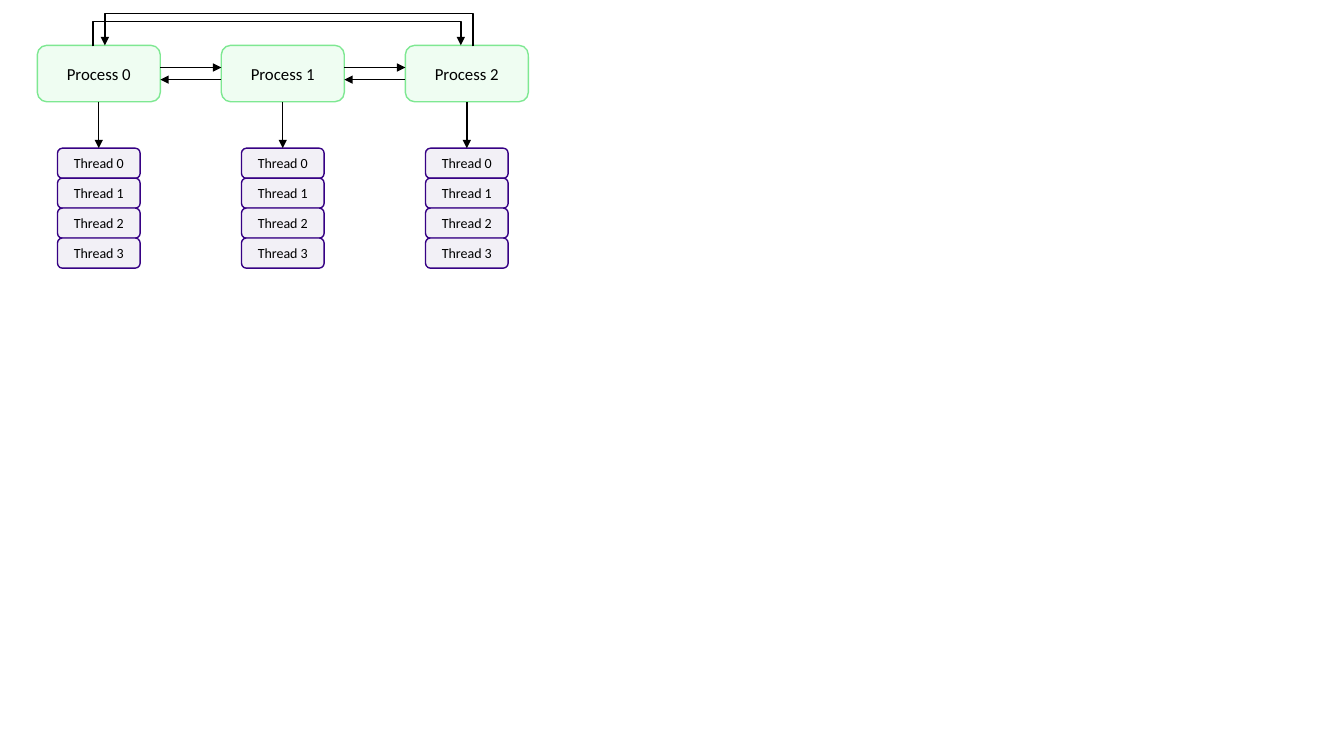
from lxml import etree
from pptx import Presentation
from pptx.dml.color import RGBColor
from pptx.enum.shapes import MSO_CONNECTOR as CONN, MSO_SHAPE as SHAPE
from pptx.enum.text import MSO_ANCHOR as ANCHOR, PP_ALIGN as ALIGN
from pptx.oxml.ns import qn
from pptx.util import Inches, Pt

COLORS = {
    "process": "EFFDF2",
    "process_line": "7EE892",
    "thread": "F2F0F6",
    "thread_line": "360184",
    "black": "000000",
}


class Diagram:
    font = "Calibri"
    line_width = Pt(1)

    def __init__(self, slide):
        self.slide = slide

    def color(self, name):
        return RGBColor.from_string(COLORS[name])

    def box(self, text, kind, size, x, y, w, h):
        sp = self.slide.shapes.add_shape(
            SHAPE.ROUNDED_RECTANGLE, Inches(x), Inches(y), Inches(w), Inches(h))
        sp.shadow.inherit = False
        sp.fill.solid()
        sp.fill.fore_color.rgb = self.color(kind)
        sp.line.color.rgb = self.color(kind + "_line")
        sp.line.width = self.line_width
        tf = sp.text_frame
        tf.text = text
        tf.vertical_anchor = ANCHOR.MIDDLE
        p = tf.paragraphs[0]
        p.alignment = ALIGN.CENTER
        r = p.runs[0]
        r.font.name = self.font
        r.font.size = Pt(size)
        r.font.color.rgb = self.color("black")
        return sp

    def arrow(self, x1, y1, x2, y2, kind=CONN.STRAIGHT):
        c = self.slide.shapes.add_connector(
            kind, Inches(x1), Inches(y1), Inches(x2), Inches(y2))
        c.line.color.rgb = self.color("black")
        c.line.width = self.line_width
        ln = c.line._get_or_add_ln()
        etree.SubElement(ln, qn("a:tailEnd"), type="triangle")
        etree.SubElement(c._element.spPr, qn("a:effectLst"))
        return c

    def link(self, upper, lower):
        c = self.arrow(0, 0, 1, 1)
        c.begin_connect(upper, 2)
        c.end_connect(lower, 0)

    def loop(self, x1, y1, x2, y2, lane):
        cx, cy = (x1 + x2) / 2, (y1 + y2) / 2
        rise, half_span = y1 - y2, abs(x2 - x1) / 2
        side = rise / 2 if x2 > x1 else -rise / 2
        c = self.arrow(cx + side, cy + half_span, cx - side, cy - half_span, CONN.ELBOW)
        spPr = c._element.spPr
        spPr.find(qn("a:xfrm")).set("rot", str((90 if x2 > x1 else 270) * 60000))
        geom = spPr.find(qn("a:prstGeom"))
        guides = geom.find(qn("a:avLst"))
        if guides is None:
            guides = etree.SubElement(geom, qn("a:avLst"))
        bend = round((y1 - lane) / rise * 100000)
        etree.SubElement(guides, qn("a:gd"), name="adj1", fmla=f"val {bend}")


def main():
    prs = Presentation()
    prs.slide_width, prs.slide_height = Inches(13.33), Inches(7.5)
    d = Diagram(prs.slides.add_slide(prs.slide_layouts[6]))

    left, top, width, height = 0.37, 0.45, 1.22, 0.56
    pitch = 1.825
    thread_width, thread_height, thread_top = 0.82, 0.3, 1.47
    lefts = [left + i * pitch for i in range(3)]

    for i, x in enumerate(lefts):
        process = d.box(f"Process {i}", "process", 12, x, top, width, height)
        threads = [
            d.box(f"Thread {j}", "thread", 10, x + (width - thread_width) / 2,
                  thread_top + j * 0.297, thread_width, thread_height)
            for j in range(4)
        ]
        d.link(process, threads[0])

    for x, following in zip(lefts, lefts[1:]):
        d.arrow(x + width, 0.67, following, 0.67)
        d.arrow(following, 0.79, x + width, 0.79)

    first, last = lefts[0] + width / 2, lefts[-1] + width / 2
    d.loop(first - 0.06, 0.46, last - 0.06, 0.45, 0.21)
    d.loop(last + 0.06, 0.46, first + 0.06, 0.45, 0.13)

    prs.save("out.pptx")


if __name__ == "__main__":
    main()
